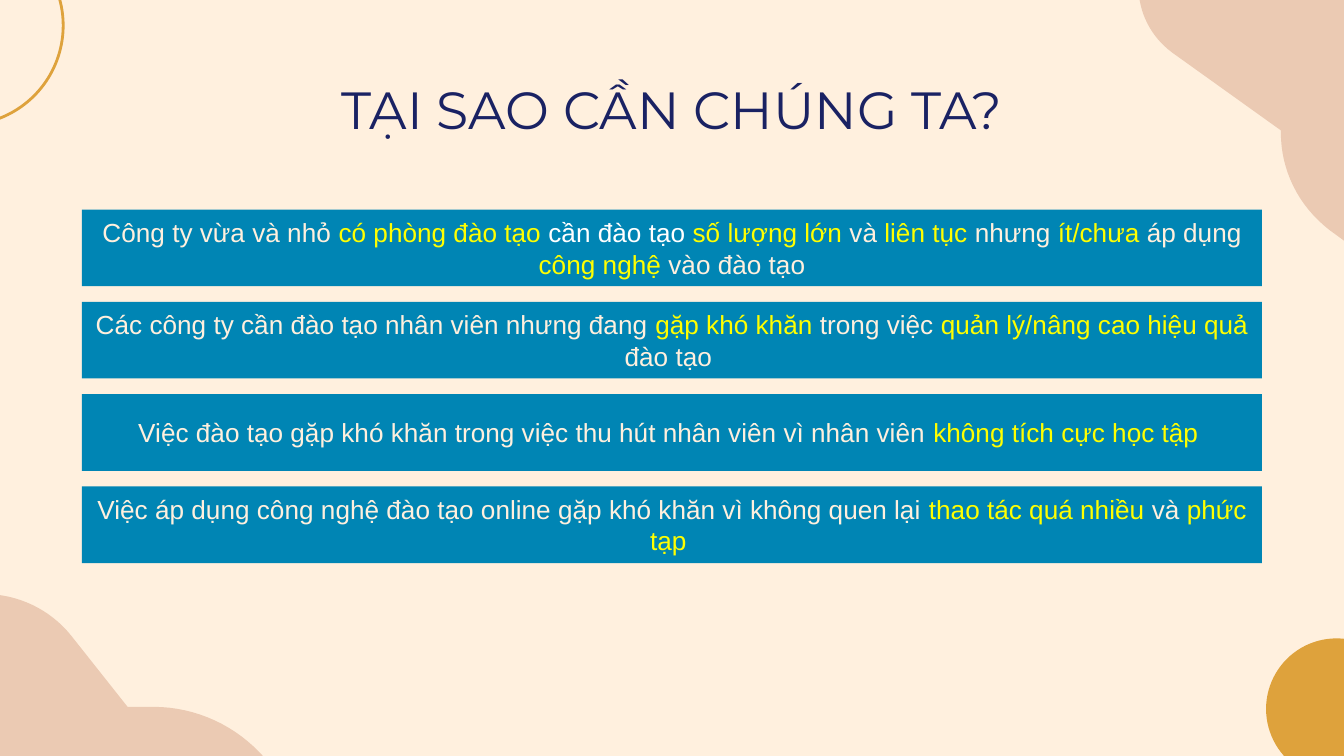
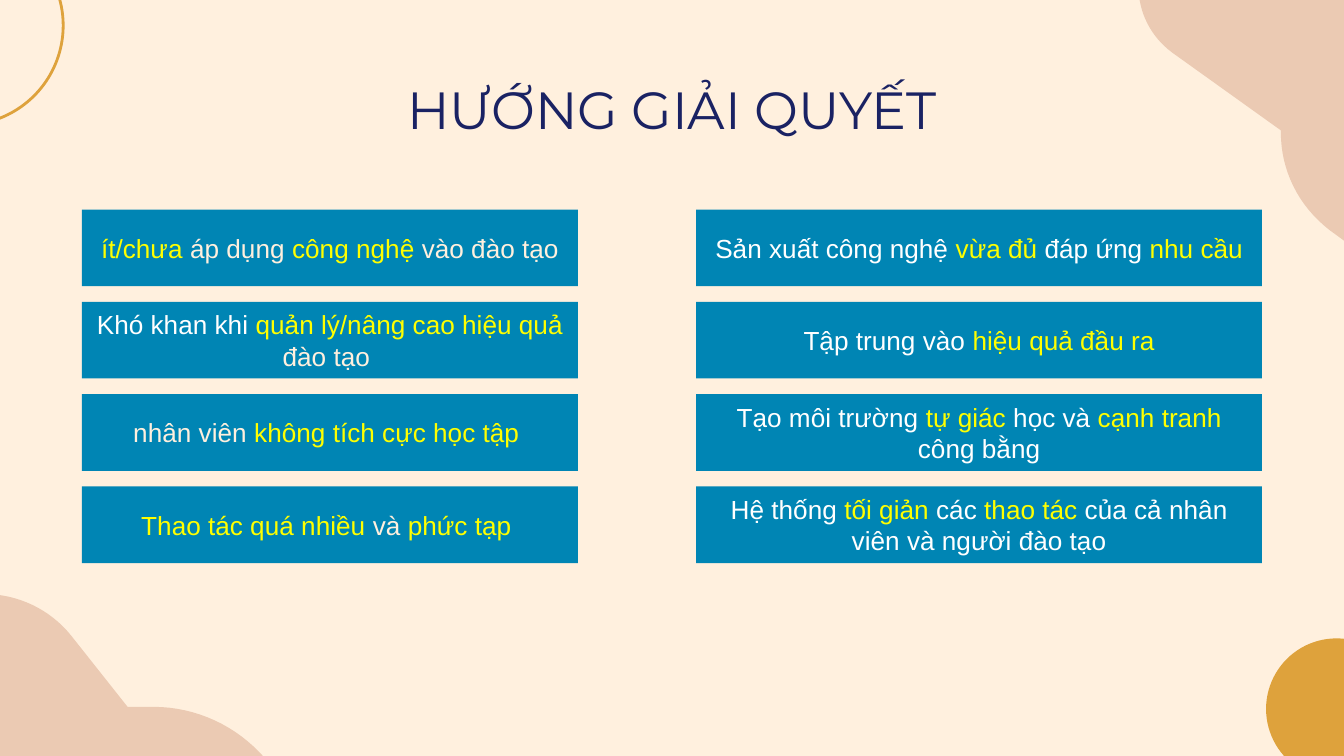
import pptx
import pptx.util
import pptx.dml.color
import pptx.enum.shapes
import pptx.enum.text

Inches = pptx.util.Inches
RGBColor = pptx.dml.color.RGBColor
MSO_SHAPE = pptx.enum.shapes.MSO_SHAPE

CREAM = RGBColor(0xFF, 0xF0, 0xDE)
BLUSH = RGBColor(0xEB, 0xCA, 0xB3)
GOLD = RGBColor(0xDE, 0xA2, 0x3C)
NAVY = RGBColor(0x1A, 0x22, 0x63)
BLUE = RGBColor(0x00, 0x85, 0xB4)
YELLOW = RGBColor(0xFF, 0xFF, 0x00)
WHITE = RGBColor(0xFF, 0xFF, 0xFF)

TITLE_FONT = {"name": "Montserrat", "size": pptx.util.Pt(28)}
BAR_FONT = {"name": "Arial", "size": pptx.util.Pt(14)}
FRAME = {
    "word_wrap": True,
    "vertical_anchor": pptx.enum.text.MSO_ANCHOR.MIDDLE,
    "margin_left": Inches(0.1),
    "margin_right": Inches(0.1),
    "margin_top": Inches(0.05),
    "margin_bottom": Inches(0.05),
}

BAR_TOP, LAST_BAR_TOP, BAR_HEIGHT = 1.56, 3.62, 0.57
CURVE_STEPS = 16

BLOBS = [
    [(-0.12, 4.42), (-0.12, 5.34), (-0.12, 5.56, 0.06, 5.75, 0.28, 5.75),
     (2.05, 5.75), (1.97, 5.64), (1.76, 5.4, 1.46, 5.26, 1.14, 5.26),
     (0.95, 5.26), (0.53, 4.73), (0.37, 4.53, 0.13, 4.42, -0.12, 4.42)],
    [(8.47, -0.11), (8.47, 0.09, 8.56, 0.27, 8.72, 0.39), (9.53, 0.97),
     (9.53, 0.98), (9.53, 1.27, 9.66, 1.53, 9.89, 1.71), (10.15, 1.9),
     (10.15, 0.23), (10.15, 0.04, 10, -0.11, 9.81, -0.11)],
]

SLIDES = [
    ("TẠI SAO CẦN CHÚNG TA?", [
        (0.61, 8.78, [
            [("Công ty vừa và nhỏ ", CREAM), ("có phòng đào tạo ", YELLOW),
             ("cần đào tạo ", WHITE), ("số lượng lớn", YELLOW), (" và", CREAM),
             (" liên tục ", YELLOW), ("nhưng ", CREAM), ("ít/chưa ", YELLOW),
             ("áp dụng ", CREAM), ("công nghệ ", YELLOW), ("vào đào tạo", CREAM)],
            [("Các công ty cần đào tạo nhân viên nhưng đang ", CREAM),
             ("gặp khó khăn ", YELLOW), ("trong việc ", CREAM),
             ("quản lý/nâng cao hiệu quả ", YELLOW), ("đào tạo ", CREAM)],
            [("Việc đào tạo gặp khó khăn trong việc thu hút nhân viên vì nhân viên ", CREAM),
             ("không tích cực học tập ", YELLOW)],
            [("Việc áp dụng công nghệ đào tạo online gặp khó khăn vì không quen lại ", CREAM),
             ("thao tác quá nhiều ", YELLOW), ("và ", CREAM), ("phức tạp ", YELLOW)],
        ]),
    ]),
    ("HƯỚNG GIẢI QUYẾT", [
        (0.61, 3.69, [
            [("ít/chưa ", YELLOW), ("áp dụng ", CREAM), ("công nghệ ", YELLOW),
             ("vào đào tạo", CREAM)],
            [("Khó khan khi ", WHITE), ("quản lý/nâng cao hiệu quả ", YELLOW),
             ("đào tạo ", CREAM)],
            [("nhân viên ", CREAM), ("không tích cực học tập ", YELLOW)],
            [("Thao tác quá nhiều ", YELLOW), ("và ", CREAM), ("phức tạp ", YELLOW)],
        ]),
        (5.18, 4.21, [
            [("Sản xuất công nghệ ", WHITE), ("vừa đủ ", YELLOW), ("đáp ứng ", WHITE),
             ("nhu cầu", YELLOW)],
            [("Tập trung vào ", WHITE), ("hiệu quả đầu ra", YELLOW)],
            [("Tạo môi trường ", WHITE), ("tự giác ", YELLOW), ("học và ", WHITE),
             ("cạnh tranh ", YELLOW), ("công bằng", WHITE)],
            [("Hệ thống ", WHITE), ("tối giản ", YELLOW), ("các ", WHITE),
             ("thao tác ", YELLOW), ("của cả nhân viên và người đào tạo", WHITE)],
        ]),
    ]),
]


def paint(shape, fill=None, line=None):
    shape.shadow.inherit = False
    for part, color in ((shape.fill, fill), (shape.line.fill, line)):
        if color is None:
            part.background()
        else:
            part.solid()
            part.fore_color.rgb = color


def write(shape, runs, font):
    for key, value in FRAME.items():
        setattr(shape.text_frame, key, value)
    paragraph = shape.text_frame.paragraphs[0]
    paragraph.alignment = pptx.enum.text.PP_ALIGN.CENTER
    for text, color in runs:
        run = paragraph.add_run()
        run.text = text
        run.font.color.rgb = color
        for key, value in font.items():
            setattr(run.font, key, value)


outlines = []
for blob in BLOBS:
    points = [blob[0]]
    for segment in blob[1:]:
        if len(segment) == 2:
            points.append(segment)
            continue
        controls = [points[-1], segment[:2], segment[2:4], segment[4:]]
        for step in range(1, CURVE_STEPS + 1):
            t = step / CURVE_STEPS
            weights = ((1 - t) ** 3, 3 * t * (1 - t) ** 2, 3 * t * t * (1 - t), t ** 3)
            points.append(tuple(sum(w * c[axis] for w, c in zip(weights, controls))
                                for axis in (0, 1)))
    outlines.append([(Inches(x), Inches(y)) for x, y in points])

deck = pptx.Presentation()
deck.slide_width = Inches(10)
deck.slide_height = deck.slide_width * 9 // 16
backdrop = deck.slide_master.background.fill
backdrop.solid()
backdrop.fore_color.rgb = CREAM

for title, columns in SLIDES:
    slide = deck.slides.add_slide(deck.slide_layouts[6])
    shapes = slide.shapes

    for outline in outlines:
        builder = shapes.build_freeform(*outline[0])
        builder.add_line_segments(outline[1:], close=True)
        paint(builder.convert_to_shape(), fill=BLUSH)

    for left, top, size, colors in ((-1.01, -0.55, 1.48, {"line": GOLD}),
                                    (9.42, 4.75, 1.05, {"fill": GOLD})):
        circle = shapes.add_shape(MSO_SHAPE.OVAL, Inches(left), Inches(top),
                                  Inches(size), Inches(size))
        paint(circle, **colors)
        if "line" in colors:
            circle.line.width = pptx.util.Pt(1.5)

    heading = shapes.add_textbox(Inches(0.78), Inches(0.49), Inches(8.44), Inches(0.63))
    write(heading, [(title, NAVY)], TITLE_FONT)

    for left, width, bars in columns:
        pitch = (LAST_BAR_TOP - BAR_TOP) / (len(bars) - 1)
        for row, runs in enumerate(bars):
            bar = shapes.add_shape(MSO_SHAPE.RECTANGLE, Inches(left),
                                   Inches(BAR_TOP + row * pitch),
                                   Inches(width), Inches(BAR_HEIGHT))
            paint(bar, fill=BLUE)
            write(bar, runs, BAR_FONT)

deck.save("out.pptx")
